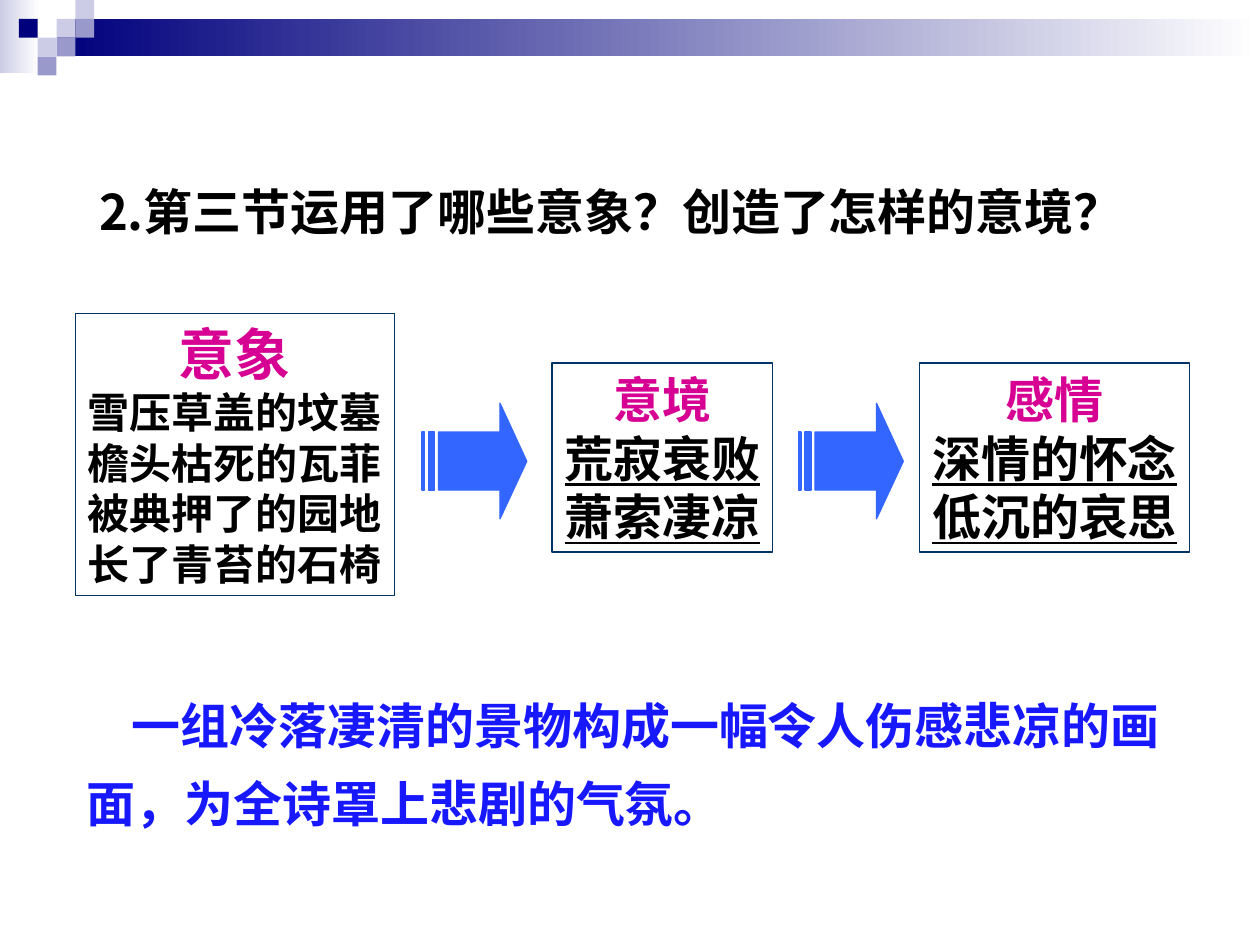
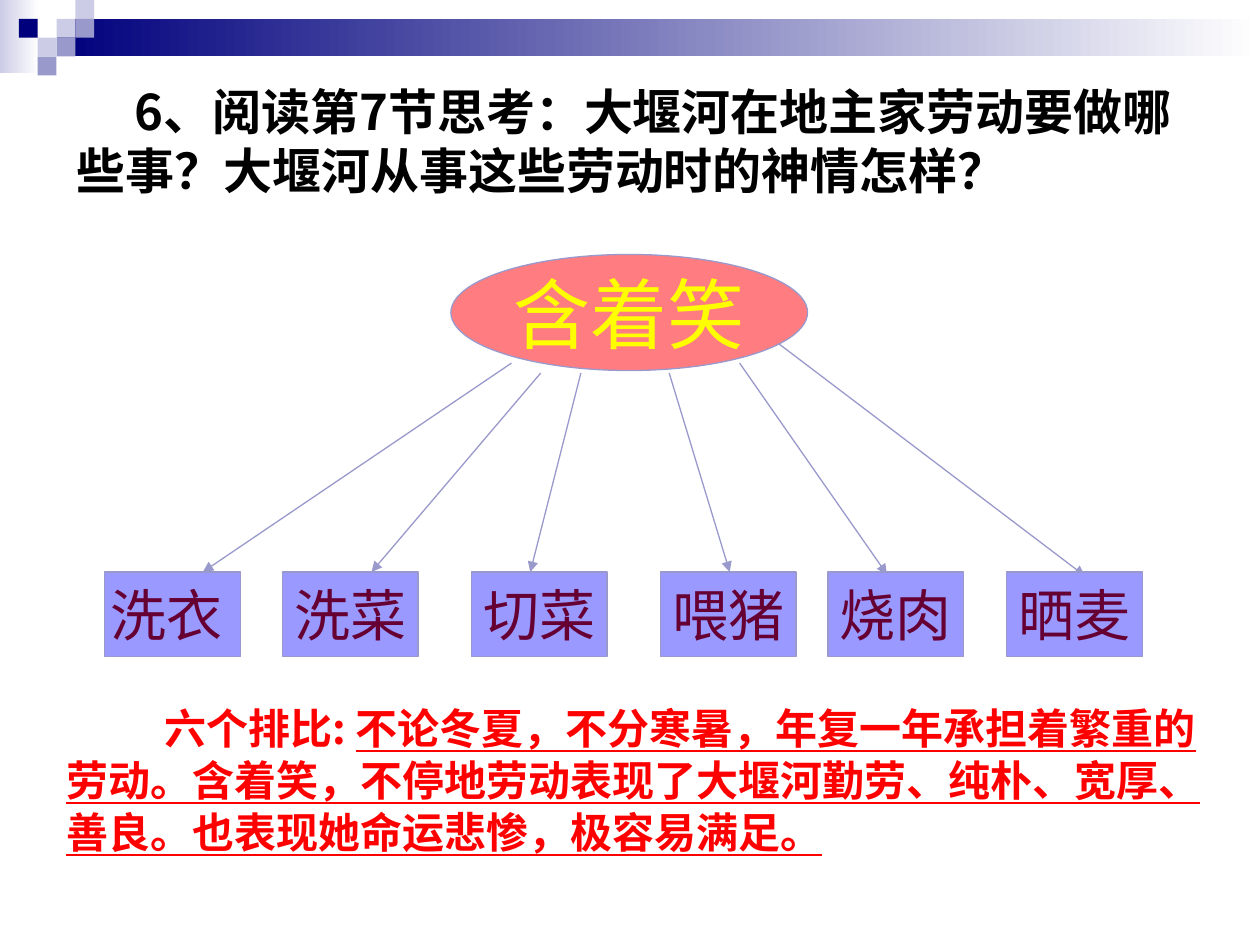
from dataclasses import dataclass

from lxml import etree
from pptx import Presentation
from pptx.dml.color import RGBColor
from pptx.enum.shapes import MSO_CONNECTOR, MSO_SHAPE
from pptx.enum.text import MSO_ANCHOR, PP_ALIGN
from pptx.oxml.ns import qn
from pptx.util import Cm, Pt

SERIF, SANS, MONO = "Times New Roman", "Noto Sans CJK SC", "Courier New"
NAVY, PERIWINKLE, LILAC, WHITE = "00007D", "9999CC", "CCCCE6", "FFFFFF"
BLACK, RED, BLUE, MAGENTA = "000000", "FF0000", "1818FF", "D60093"
FRAME_BLUE, ARROW_BLUE, CORAL = "003366", "3366FF", "FF7C80"
YELLOW, NODE_BLUE, MAROON = "FFFF00", "9999FF", "660033"

PIXEL = 0.38
LEADING = 1.2


@dataclass(frozen=True)
class Area:
    left: float
    top: float
    width: float
    height: float

    def lengths(self) -> list[Cm]:
        return [Cm(v) for v in (self.left, self.top, self.width, self.height)]


@dataclass(frozen=True)
class Words:
    text: str
    size: int
    color: str
    font: str = SANS
    bold: bool = True
    underline: bool = False


@dataclass(frozen=True)
class Passage:
    area: Area
    words: tuple[Words, ...]
    indent: float = 0
    leading: float = LEADING


@dataclass(frozen=True)
class Stage:
    area: Area
    heading: str
    heading_size: int
    details: tuple[str, ...]
    detail_size: int
    underline: bool


@dataclass(frozen=True)
class Chore:
    label: str
    left: float
    ray_start: tuple[float, float]
    ray_end: tuple[float, float]


PIXELS = (
    (3, 1, LILAC), (4, 0, LILAC), (4, 1, PERIWINKLE), (2, 2, LILAC),
    (1, 1, NAVY), (3, 2, PERIWINKLE), (2, 3, PERIWINKLE),
)
GRADIENTS = (
    (Area(0, 0, 0.79, 1.47), LILAC),
    (Area(1.14, 0.38, 24.26, 0.76), NAVY),
)

STAGES = (
    Stage(Area(1.52, 6.32, 6.43, 5.69), "意象", 32,
          ("雪压草盖的坟墓", "檐头枯死的瓦菲", "被典押了的园地", "长了青苔的石椅"),
          24, False),
    Stage(Area(11.13, 7.32, 4.45, 3.81), "意境", 28,
          ("荒寂衰败", "萧索凄凉"), 28, True),
    Stage(Area(18.54, 7.32, 5.44, 3.81), "感情", 28,
          ("深情的怀念", "低沉的哀思"), 28, True),
)
ARROW_LEFTS = (8.51, 16.1)
ARROW_TOP = 8.13
SHAFT_TOP, SHAFT_BOTTOM = 0.58, 1.75
ARROW_HEAD = ((1.57, 0), (1.57, SHAFT_TOP), (0.33, SHAFT_TOP), (0.33, SHAFT_BOTTOM),
              (1.57, SHAFT_BOTTOM), (1.57, 2.33), (2.11, 1.17))
ARROW_STRIPES = ((0.13, 0.25), (0, 0.05))

CHORES = (
    Chore("洗衣 ", 2.11, (10.31, 7.32), (4.09, 11.53)),
    Chore("洗菜", 5.69, (10.9, 7.52), (7.49, 11.53)),
    Chore("切菜", 9.5, (11.71, 7.52), (10.69, 11.53)),
    Chore("喂猪", 13.31, (13.49, 7.52), (14.71, 11.53)),
    Chore("烧肉", 16.69, (14.91, 7.32), (17.88, 11.58)),
    Chore("晒麦", 20.29, (15.7, 6.93), (21.87, 11.61)),
)

IMAGERY_QUESTION = Passage(
    Area(1.75, 3.53, 21.08, 2.6),
    (Words("2.第三节运用了哪些意象？创造了怎样的意境？", 28, BLACK),))
IMAGERY_ANSWER = Passage(
    Area(1.5, 13.51, 22.66, 3.35),
    (Words("一组冷落凄清的景物构成一幅令人伤感悲凉的画面，为全诗罩上悲剧的气氛。",
           28, BLUE, MONO),),
    indent=0.91, leading=1.59)
LABOUR_QUESTION = Passage(
    Area(1.3, 1.52, 23.01, 2.64),
    (Words("6、阅读第7节思考：大堰河在地主家劳动要做哪些事？大堰河从事这些劳动时的神情怎样？",
           28, BLACK),),
    indent=1.17)
LABOUR_ANSWER = Passage(
    Area(1.09, 14, 23.5, 3.4),
    (Words("六个排比: ", 24, RED),
     Words("不论冬夏，不分寒暑，年复一年承担着繁重的劳动。含着笑，不停地劳动"
           "表现了大堰河勤劳、纯朴、宽厚、善良。也表现她命运悲惨，极容易满足。",
           24, RED, underline=True)),
    indent=1.98, leading=1.24)


def rgb(value: str) -> RGBColor:
    return RGBColor.from_string(value)


def style(shape, fill: str | None, line: str | None) -> None:
    shape.shadow.inherit = False
    if fill:
        shape.fill.solid()
        shape.fill.fore_color.rgb = rgb(fill)
    else:
        shape.fill.background()
    if line:
        shape.line.color.rgb = rgb(line)
        shape.line.width = Pt(0.75)
    else:
        shape.line.fill.background()


def add_box(slide, area: Area, fill: str | None, line: str | None = None,
            kind=MSO_SHAPE.RECTANGLE):
    box = slide.shapes.add_shape(kind, *area.lengths())
    style(box, fill, line)
    return box


def add_words(paragraph, words: Words) -> None:
    run = paragraph.add_run()
    run.text = words.text
    font = run.font
    font.name, font.size, font.bold = words.font, Pt(words.size), words.bold
    font.underline = words.underline
    font.color.rgb = rgb(words.color)
    latin = run._r.rPr.find(qn("a:latin"))
    east_asian = etree.Element(qn("a:ea"), typeface=SANS)
    latin.addnext(east_asian)


def write_centred(shape, lines: list[Words], anchor=MSO_ANCHOR.MIDDLE) -> None:
    frame = shape.text_frame
    frame.word_wrap = False
    frame.vertical_anchor = anchor
    for index, words in enumerate(lines):
        paragraph = frame.add_paragraph() if index else frame.paragraphs[0]
        paragraph.alignment = PP_ALIGN.CENTER
        paragraph.line_spacing = Pt(words.size * LEADING)
        add_words(paragraph, words)


def add_passage(slide, passage: Passage) -> None:
    frame = slide.shapes.add_textbox(*passage.area.lengths()).text_frame
    frame.word_wrap = True
    paragraph = frame.paragraphs[0]
    paragraph.line_spacing = Pt(passage.words[0].size * passage.leading)
    paragraph._p.get_or_add_pPr().set("indent", str(Cm(passage.indent)))
    for words in passage.words:
        add_words(paragraph, words)


def add_banded_slide(deck):
    """Add a blank slide with the fading bars and the pixel corner."""
    slide = deck.slides.add_slide(deck.slide_layouts[6])
    for area, start in GRADIENTS:
        bar = add_box(slide, area, start)
        bar.fill.gradient()
        bar.fill.gradient_angle = 0
        for stop, color in zip(bar.fill.gradient_stops, (start, WHITE)):
            stop.color.rgb = rgb(color)
    for column, row, color in PIXELS:
        add_box(slide, Area(column * PIXEL, row * PIXEL, PIXEL, PIXEL), color)
    return slide


def add_stage(slide, stage: Stage) -> None:
    box = add_box(slide, stage.area, None, FRAME_BLUE)
    heading = Words(stage.heading, stage.heading_size, MAGENTA, SERIF)
    details = [Words(text, stage.detail_size, BLACK, SERIF, underline=stage.underline)
               for text in stage.details]
    write_centred(box, [heading, *details], MSO_ANCHOR.TOP)


def add_striped_arrow(slide, left: float) -> None:
    stripes = [((start, SHAFT_TOP), (start, SHAFT_BOTTOM),
                (end, SHAFT_BOTTOM), (end, SHAFT_TOP)) for start, end in ARROW_STRIPES]
    head, *tails = [[(Cm(left + x), Cm(ARROW_TOP + y)) for x, y in outline]
                    for outline in (ARROW_HEAD, *stripes)]
    builder = slide.shapes.build_freeform(*head[0])
    builder.add_line_segments(head[1:], close=True)
    for tail in tails:
        builder.move_to(*tail[0])
        builder.add_line_segments(tail[1:], close=True)
    style(builder.convert_to_shape(), ARROW_BLUE, ARROW_BLUE)


def add_ray(slide, chore: Chore) -> None:
    ends = [Cm(v) for v in (*chore.ray_start, *chore.ray_end)]
    ray = slide.shapes.add_connector(MSO_CONNECTOR.STRAIGHT, *ends)
    ray.line.color.rgb = rgb(PERIWINKLE)
    ray.line.width = Pt(0.75)
    etree.SubElement(ray.line._get_or_add_ln(), qn("a:tailEnd"), type="triangle")
    etree.SubElement(ray._element.spPr, qn("a:effectLst"))


def build_imagery_slide(deck) -> None:
    slide = add_banded_slide(deck)
    for stage in STAGES:
        add_stage(slide, stage)
    for left in ARROW_LEFTS:
        add_striped_arrow(slide, left)
    add_passage(slide, IMAGERY_QUESTION)
    add_passage(slide, IMAGERY_ANSWER)


def build_labour_slide(deck) -> None:
    slide = add_banded_slide(deck)
    smile = add_box(slide, Area(9.09, 5.13, 7.19, 2.34), CORAL, PERIWINKLE, MSO_SHAPE.OVAL)
    write_centred(smile, [Words("含着笑", 44, YELLOW, SERIF, bold=False)])
    for chore in CHORES:
        add_ray(slide, chore)
    for chore in CHORES:
        node = add_box(slide, Area(chore.left, 11.53, 2.74, 1.7), NODE_BLUE, PERIWINKLE)
        write_centred(node, [Words(chore.label, 32, MAROON, SERIF, bold=False)])
    add_passage(slide, LABOUR_QUESTION)
    add_passage(slide, LABOUR_ANSWER)


def main() -> None:
    deck = Presentation()
    deck.slide_width, deck.slide_height = Cm(25.4), Cm(19.05)
    build_imagery_slide(deck)
    build_labour_slide(deck)
    deck.save("out.pptx")


if __name__ == "__main__":
    main()
